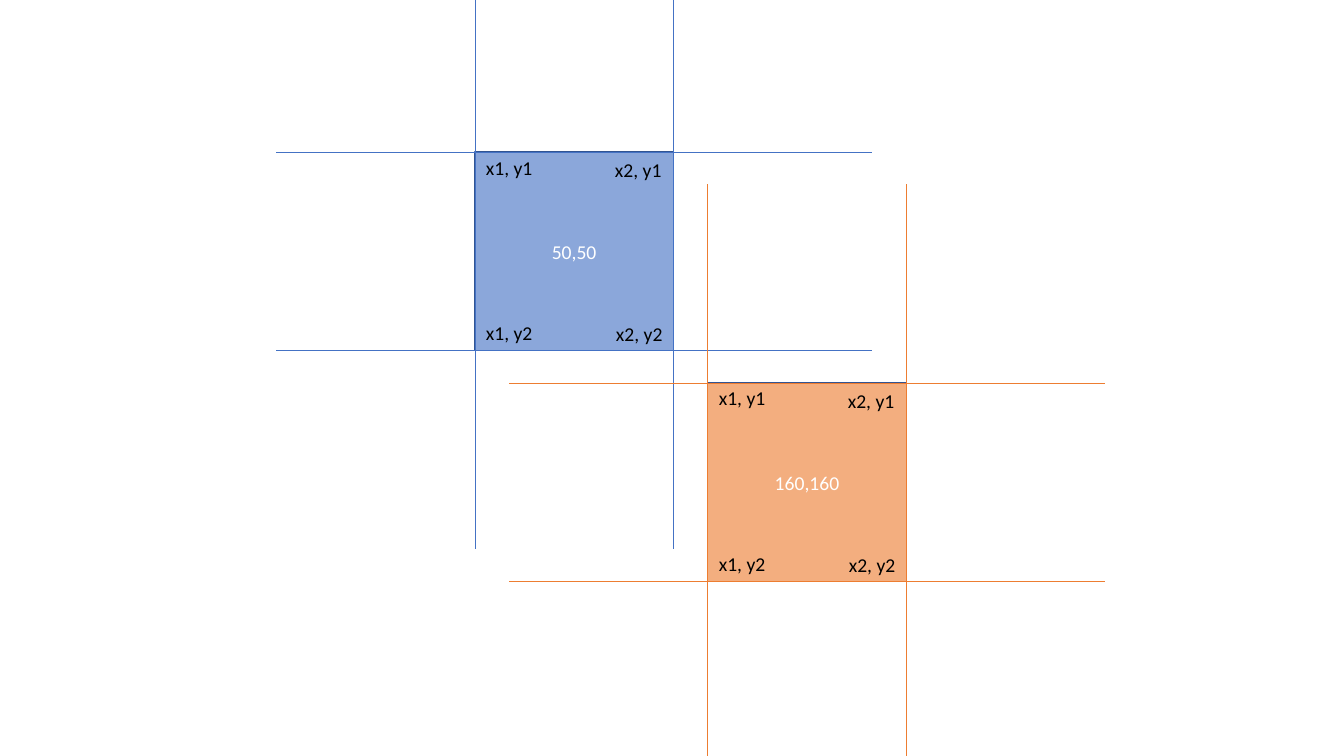
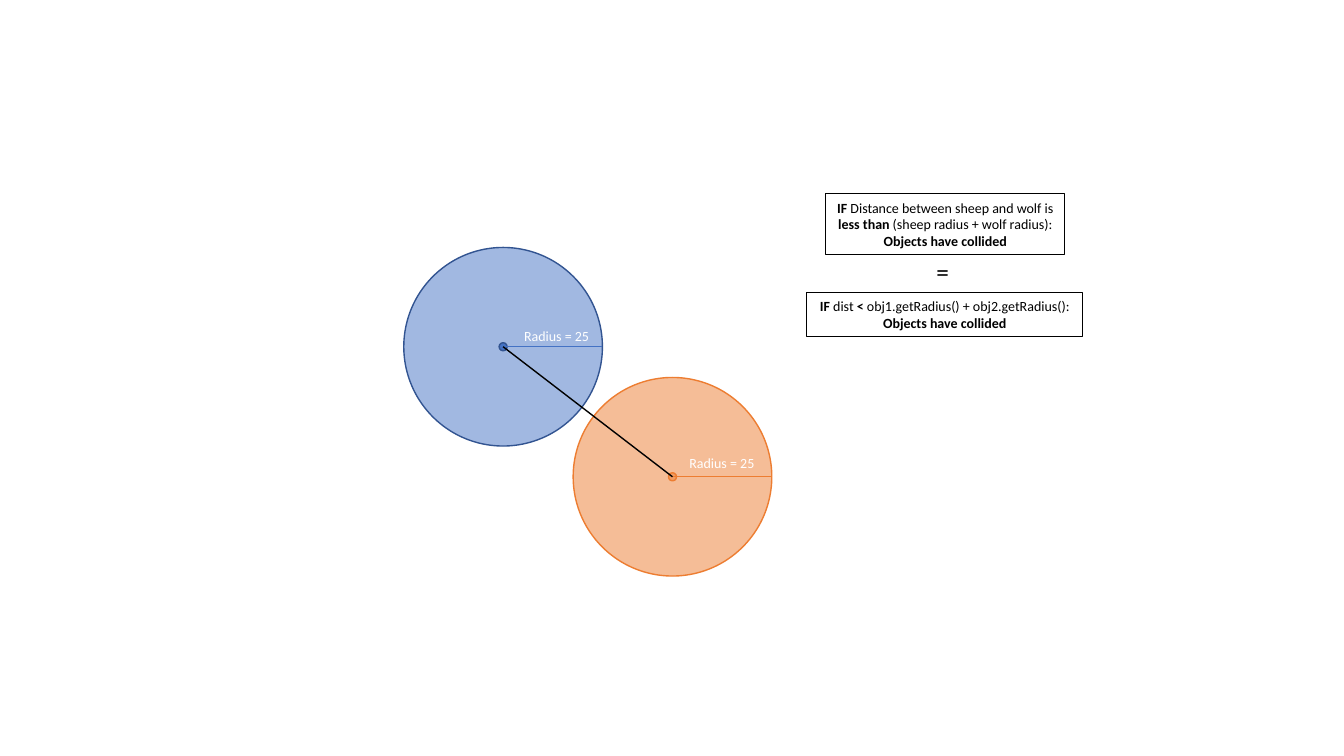
"""Two slides on collision detection: bounding boxes and circle radii."""
from lxml.etree import SubElement
from pptx import Presentation
from pptx.dml.color import RGBColor
from pptx.enum.shapes import MSO_CONNECTOR, MSO_SHAPE
from pptx.enum.text import MSO_ANCHOR, PP_ALIGN
from pptx.oxml.ns import qn
from pptx.util import Inches, Pt

COLOURS = {
    "blue": "4472C4",
    "navy": "325491",
    "orange": "ED7D31",
    "black": "000000",
    "white": "FFFFFF",
}
FONT = "Calibri"


def paint(shape, line, width, fill=None, opacity=100):
    """Set outline and fill, and switch the shadow off."""
    shape.line.color.rgb = RGBColor.from_string(COLOURS[line])
    shape.line.width = Pt(width)
    if fill:
        shape.fill.solid()
        shape.fill.fore_color.rgb = RGBColor.from_string(COLOURS[fill])
        if opacity < 100:
            colour = shape.element.spPr.find(qn("a:solidFill"))[0]
            SubElement(colour, qn("a:alpha"), val=str(opacity * 1000))
    SubElement(shape.element.spPr, qn("a:effectLst"))


def write(shape, paragraphs, size, colour, align=PP_ALIGN.CENTER):
    """Write paragraphs, each a list of (text, bold) runs."""
    frame = shape.text_frame
    frame.word_wrap = True
    frame.vertical_anchor = MSO_ANCHOR.MIDDLE
    for index, runs in enumerate(paragraphs):
        paragraph = frame.add_paragraph() if index else frame.paragraphs[0]
        paragraph.alignment = align
        for text, bold in runs:
            run = paragraph.add_run()
            run.text = text
            run.font.name = FONT
            run.font.size = Pt(size)
            run.font.bold = bold
            run.font.color.rgb = RGBColor.from_string(COLOURS[colour])


prs = Presentation()
prs.slide_width, prs.slide_height = Inches(13.33), Inches(7.5)
blank = prs.slide_layouts[6]

boxes_slide = prs.slides.add_slide(blank)
SIDE = 1.97
CORNERS = [
    ("x1, y1", 0, -0.02),
    ("x2, y1", 1.28, 0),
    ("x2, y2", 1.29, 1.63),
    ("x1, y2", 0, 1.62),
]
for position, left, top, colour in [
    ("50,50", 4.71, 1.51, "blue"),
    ("160,160", 7.02, 3.8, "orange"),
]:
    group = boxes_slide.shapes.add_group_shape().shapes
    square = group.add_shape(
        MSO_SHAPE.RECTANGLE, Inches(left), Inches(top), Inches(SIDE), Inches(SIDE))
    paint(square, "navy", 1, colour, 62)
    write(square, [[(position, False)]], 14, "white")
    for corner, dx, dy in CORNERS:
        label = group.add_textbox(
            Inches(left + dx), Inches(top + dy), Inches(0.68), Inches(0.34))
        write(label, [[(corner, False)]], 14, "black")
    for offset in (0, SIDE):
        for x1, y1, x2, y2 in [
            (left - SIDE, top + offset, left + 2 * SIDE, top + offset),
            (left + offset, top - SIDE, left + offset, top + 2 * SIDE),
        ]:
            guide = group.add_connector(
                MSO_CONNECTOR.STRAIGHT, Inches(x1), Inches(y1), Inches(x2), Inches(y2))
            paint(guide, colour, 0.5)

circles_slide = prs.slides.add_slide(blank)
RADIUS, DOT_RADIUS = 0.985, 0.04
sheep, wolf = (4.99, 3.44), (6.67, 4.73)
for (x, y), colour, edge, dot_opacity, label_dx, label_dy in [
    (sheep, "blue", "navy", 100, 0.1, -0.24),
    (wolf, "orange", "orange", 50, 0.06, -0.27),
]:
    group = circles_slide.shapes.add_group_shape().shapes
    for radius, opacity in [(RADIUS, 50), (DOT_RADIUS, dot_opacity)]:
        circle = group.add_shape(
            MSO_SHAPE.OVAL, Inches(x - radius), Inches(y - radius),
            Inches(2 * radius), Inches(2 * radius))
        paint(circle, edge, 1, colour, opacity)
    radius_line = circles_slide.shapes.add_connector(
        MSO_CONNECTOR.STRAIGHT, Inches(x), Inches(y), Inches(x + RADIUS), Inches(y))
    paint(radius_line, colour, 1)
    radius_label = circles_slide.shapes.add_textbox(
        Inches(x + label_dx), Inches(y + label_dy), Inches(0.86), Inches(0.27))
    write(radius_label, [[("Radius = 25", False)]], 10, "white")

distance = circles_slide.shapes.add_connector(
    MSO_CONNECTOR.STRAIGHT, *[Inches(value) for value in sheep + wolf])
paint(distance, "black", 1)

rule = circles_slide.shapes.add_group_shape().shapes
for left, top, width, height, condition in [
    (8.19, 1.92, 2.37, 0.61, [
        ("IF", True), (" Distance between sheep and wolf is ", False),
        ("less than", True), (" (sheep radius + wolf radius):", False)]),
    (8, 2.9, 2.74, 0.44, [
        ("IF", True), (" dist ", False),
        ("<", True), (" obj1.getRadius() + obj2.getRadius():", False)]),
]:
    statement = rule.add_shape(
        MSO_SHAPE.RECTANGLE, Inches(left), Inches(top), Inches(width), Inches(height))
    statement.fill.background()
    paint(statement, "black", 0.75)
    write(statement, [condition, [("Objects have collided", True)]], 10, "black")
equals = rule.add_textbox(Inches(9.19), Inches(2.49), Inches(0.37), Inches(0.4))
write(equals, [[("=", False)]], 18, "black", PP_ALIGN.LEFT)

prs.save("out.pptx")
